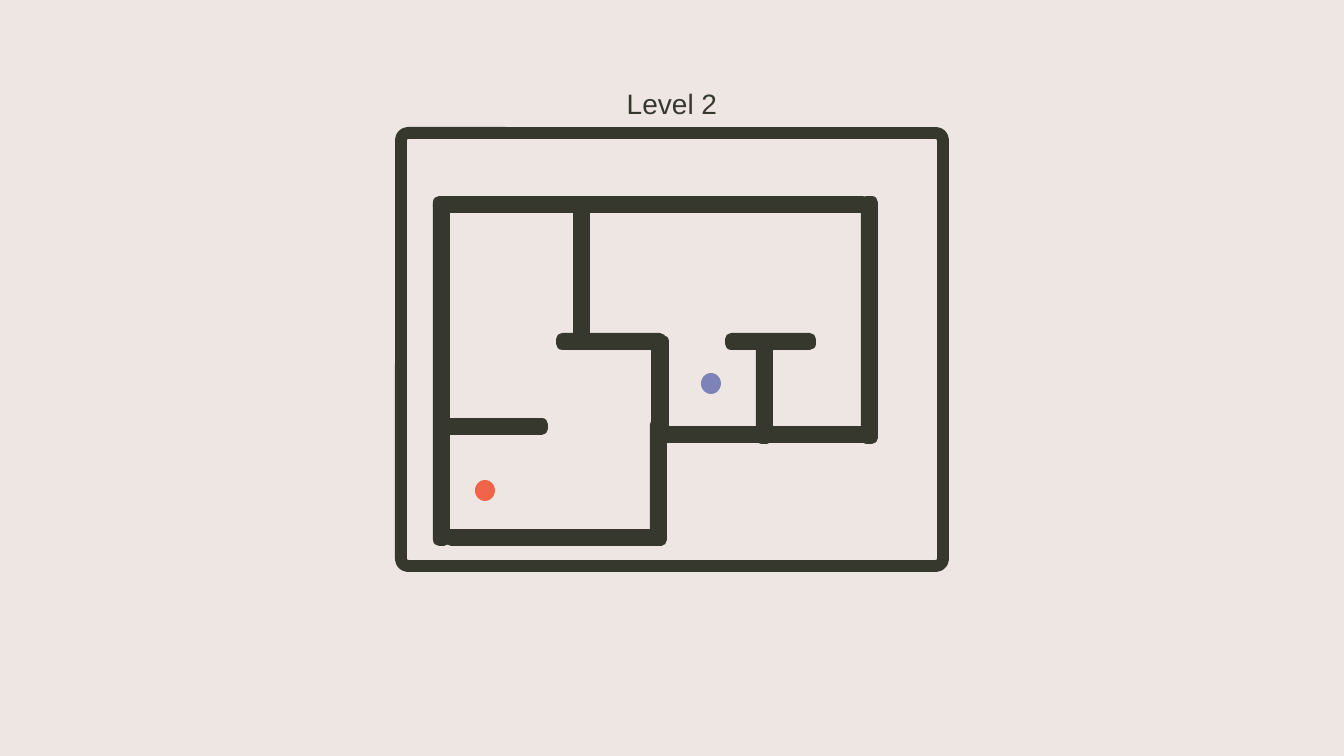
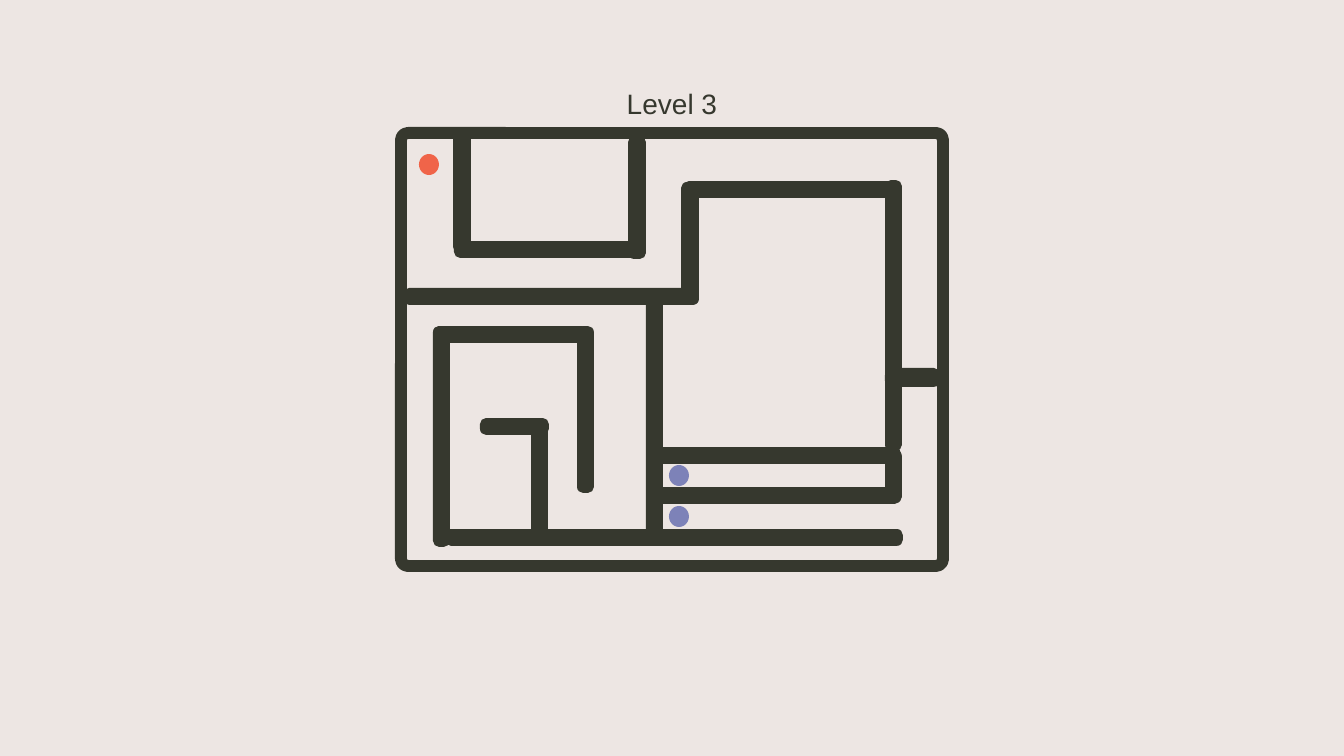
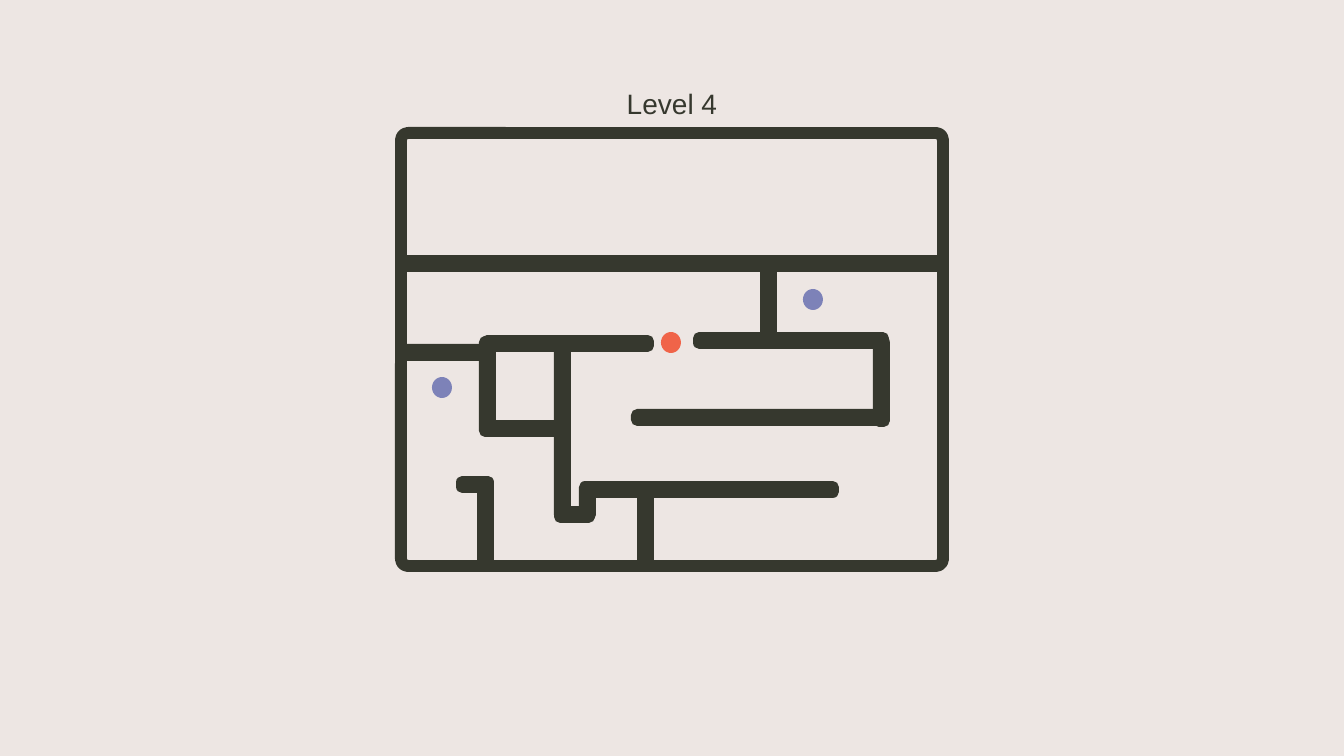
from collections import namedtuple

from pptx import Presentation
from pptx.dml.color import RGBColor
from pptx.enum.shapes import MSO_SHAPE
from pptx.enum.text import MSO_ANCHOR, MSO_AUTO_SIZE, PP_ALIGN
from pptx.util import Pt

EMU_PER_PIXEL = 914400 / 100.8
COLORS = {"paper": "EDE6E3", "wall": "36382E", "start": "F06449", "goal": "7D82B8"}
TITLE_FONT = {"name": "Arial", "size": Pt(20), "bold": False}
TITLE_FRAME = {
    "word_wrap": True,
    "auto_size": MSO_AUTO_SIZE.SHAPE_TO_FIT_TEXT,
    "vertical_anchor": MSO_ANCHOR.MIDDLE,
}
LINE_WIDTH = Pt(8.5)
CORNER = 0.016
WALL = 5
DOT_SIZE = (20, 21)

Box = namedtuple("Box", "left top width height")
BOARD = Box(401, 133, 542, 433)

# Maze parts are measured from the top left corner of the board.
# Walls are (left, top, length) with an optional thickness.
LEVELS = [
    {
        "title": "Level 2",
        "start": (74, 347),
        "goals": [(300, 240)],
        "across": [
            (330, 206, 79), (361, 299, 110), (38, 69, 424), (161, 206, 98),
            (258, 299, 125), (43, 291, 98), (50, 402, 209),
        ],
        "down": [
            (361, 206, 99), (466, 69, 236), (256, 208, 96, 6), (178, 74, 131),
            (38, 71, 336), (255, 291, 116),
        ],
    },
    {
        "title": "Level 3",
        "start": (18, 21),
        "goals": [(268, 373), (268, 332)],
        "across": [
            (38, 199, 143), (85, 291, 57), (50, 402, 446), (8, 161, 284),
            (254, 360, 240), (254, 320, 240), (490, 241, 43, 7),
            (288, 54, 198), (59, 114, 180),
        ],
        "down": [
            (182, 199, 155), (38, 199, 209), (136, 296, 104), (251, 162, 240),
            (490, 323, 41), (490, 53, 259), (233, 9, 111, 6),
            (286, 55, 111, 6), (58, 3, 111, 6),
        ],
    },
    {
        "title": "Level 4",
        "start": (260, 199),
        "goals": [(31, 244), (402, 156)],
        "across": [
            (61, 349, 26), (5, 217, 84), (88, 293, 75), (159, 379, 29),
            (187, 354, 245), (236, 282, 245), (298, 205, 184),
            (0, 128, 537), (86, 208, 161),
        ],
        "down": [
            (82, 349, 79), (84, 209, 89), (159, 210, 172), (184, 354, 28),
            (242, 358, 70), (478, 209, 79), (365, 130, 79),
        ],
    },
]


def px(pixels):
    """Turn pixels into EMU."""
    return round(pixels * EMU_PER_PIXEL)


def rgb(role):
    """Look up a colour by its role."""
    return RGBColor.from_string(COLORS[role])


def add_outline(slide, box):
    """Draw an unfilled, thick-lined rounded rectangle."""
    outline = slide.shapes.add_shape(MSO_SHAPE.ROUNDED_RECTANGLE, *map(px, box))
    outline.adjustments[0] = CORNER
    outline.shadow.inherit = False
    outline.fill.background()
    outline.line.color.rgb = rgb("wall")
    outline.line.width = LINE_WIDTH


def add_dot(slide, board, place, role):
    """Draw the start or a goal at a place on the board."""
    left, top = place
    box = Box(board.left + left, board.top + top, *DOT_SIZE)
    dot = slide.shapes.add_shape(MSO_SHAPE.OVAL, *map(px, box))
    dot.shadow.inherit = False
    dot.fill.solid()
    dot.fill.fore_color.rgb = rgb(role)
    dot.line.fill.background()


def add_maze(slide, board, level):
    """Draw the board's border, its walls and its dots."""
    add_outline(slide, board)
    for direction in ("across", "down"):
        for left, top, length, *thickness in level[direction]:
            thick = thickness[0] if thickness else WALL
            size = (length, thick) if direction == "across" else (thick, length)
            add_outline(slide, Box(board.left + left, board.top + top, *size))
    add_dot(slide, board, level["start"], "start")
    for goal in level["goals"]:
        add_dot(slide, board, goal, "goal")


def set_title(slide, board, wording):
    """Centre the level's title above the board."""
    title = slide.shapes.title
    box = Box(board.left + 42, board.top - 52, board.width - 2 * 42, 44)
    for side, length in box._asdict().items():
        setattr(title, side, px(length))
    title.text = wording
    for name, value in TITLE_FRAME.items():
        setattr(title.text_frame, name, value)
    heading = title.text_frame.paragraphs[0]
    heading.alignment = PP_ALIGN.CENTER
    font = heading.runs[0].font
    for name, value in TITLE_FONT.items():
        setattr(font, name, value)
    font.color.rgb = rgb("wall")


def add_level(deck, level):
    """Add one slide that shows a level of the game."""
    slide = deck.slides.add_slide(deck.slide_layouts.get_by_name("Title Only"))
    set_title(slide, BOARD, level["title"])
    add_maze(slide, BOARD, level)


def main():
    """Build and save the deck."""
    deck = Presentation()
    deck.slide_width, deck.slide_height = px(1344), px(756)
    paper = deck.slide_master.background.fill
    paper.solid()
    paper.fore_color.rgb = rgb("paper")
    for level in LEVELS:
        add_level(deck, level)
    deck.save("out.pptx")


main()
